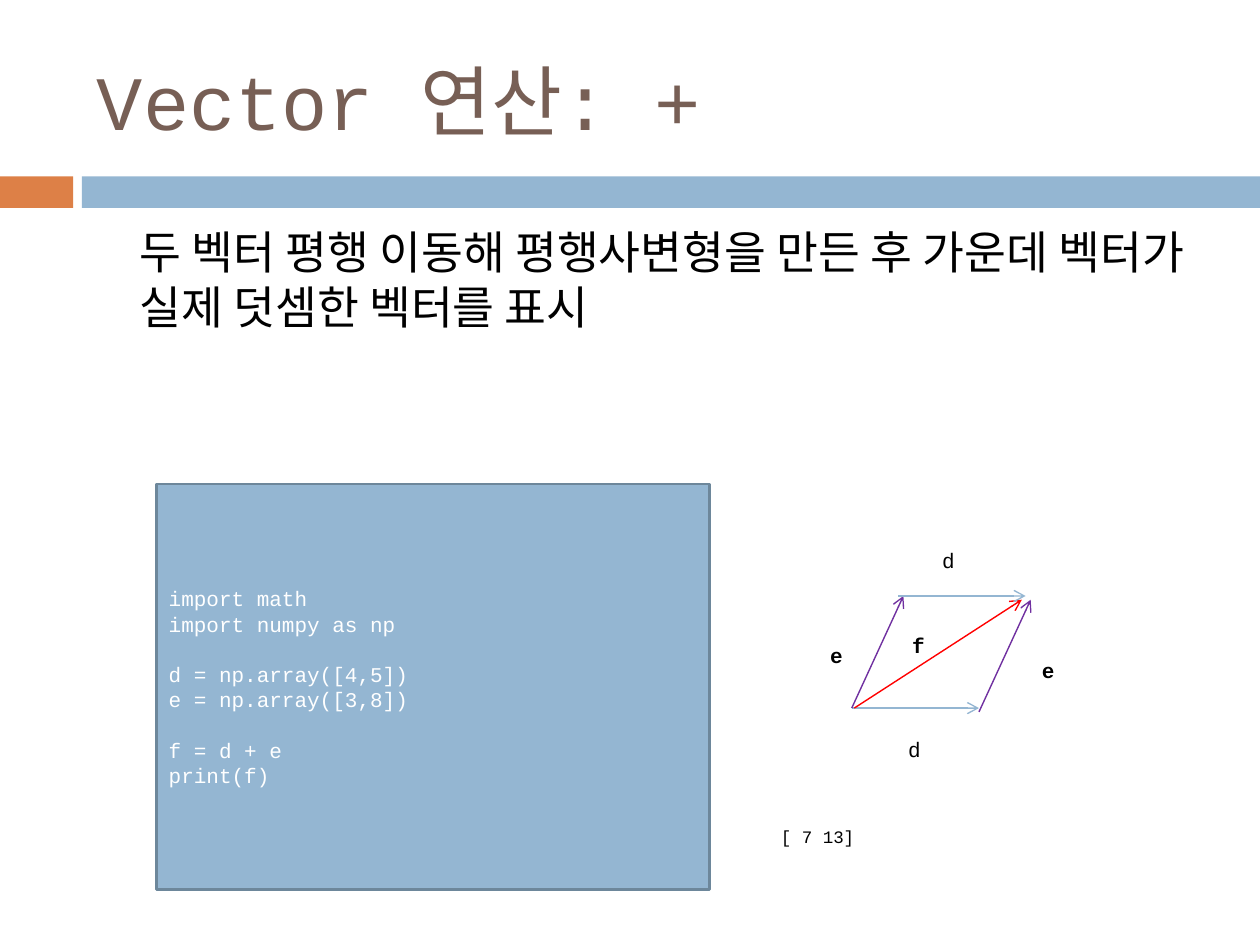
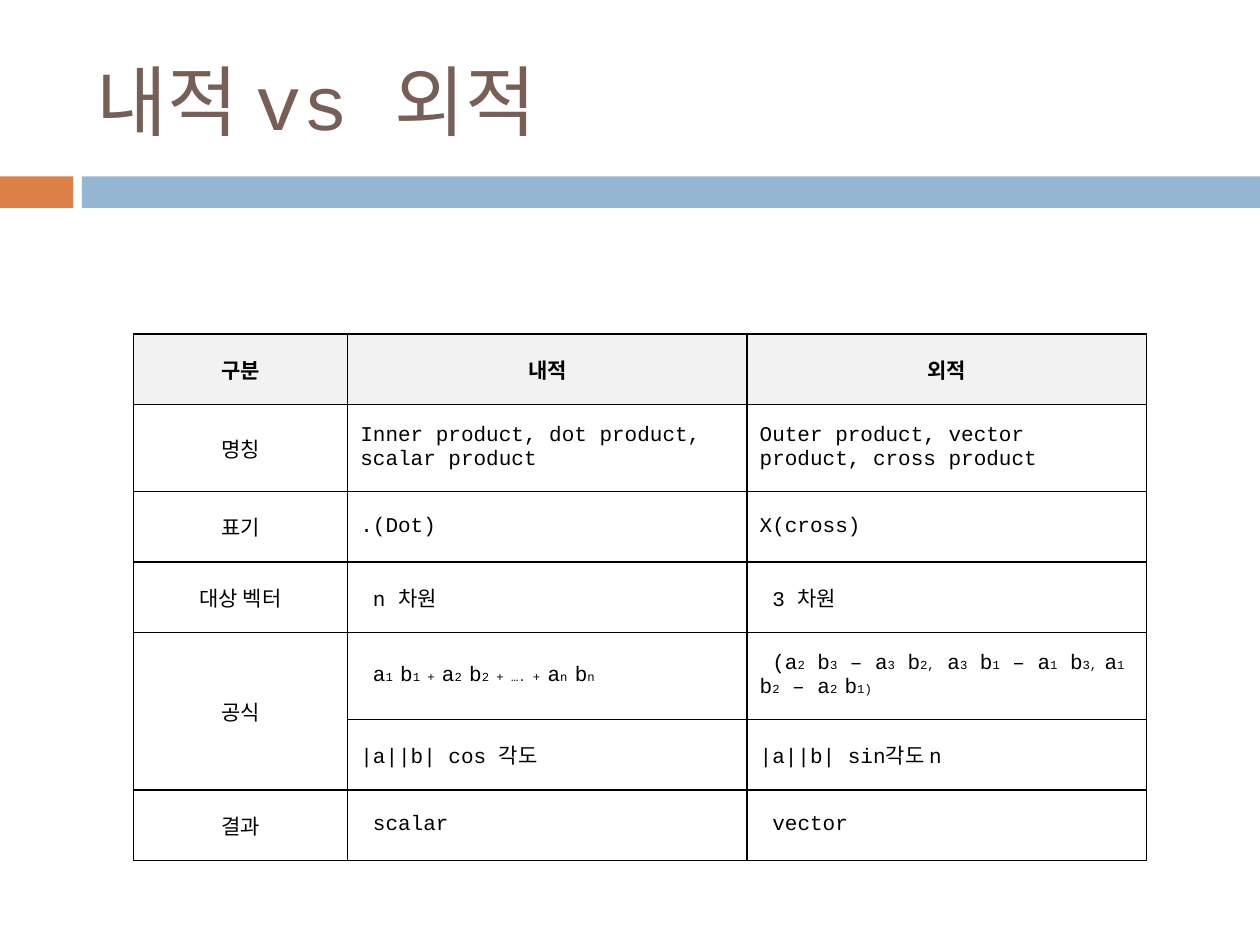
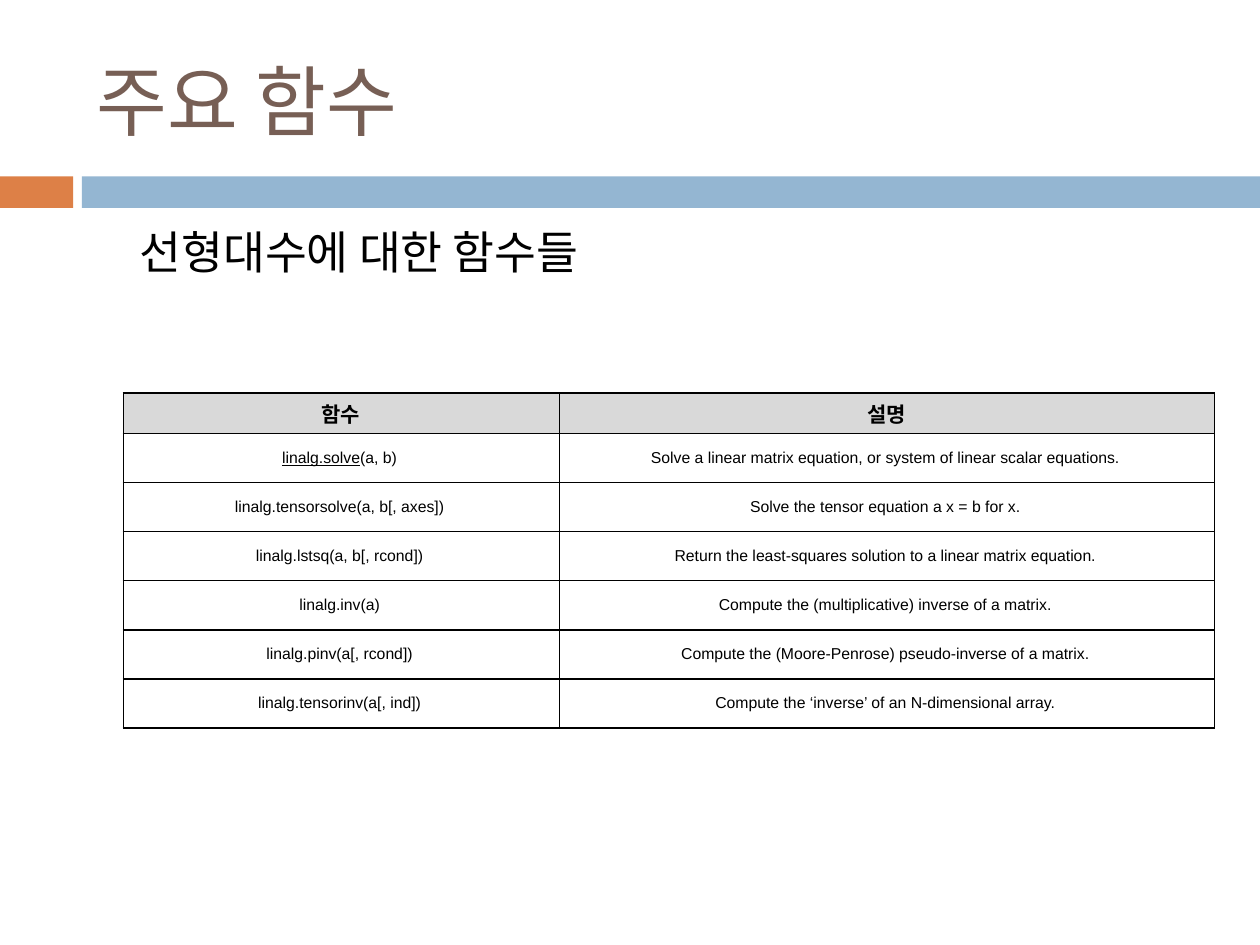
from typing import NamedTuple

from lxml import etree
from pptx import Presentation
from pptx import util as u
from pptx.dml.color import RGBColor
from pptx.enum import shapes, text
from pptx.oxml import ns

ORANGE, BLUE, BLUE_EDGE = "DD8047", "94B6D2", "6D879B"
BROWN, BLACK, WHITE = "775F55", "000000", "FFFFFF"
PURPLE, RED = "7030A0", "FF0000"
LIGHT_GREY, GREY = "F2F2F2", "D9D9D9"
MONO, SANS = "Courier New", "Arial"
CODE_LINE = u.Pt(14.4)


class Box(NamedTuple):
    left: float
    top: float
    width: float
    height: float

    def inches(self) -> list:
        return [u.Inches(length) for length in self]


class Style(NamedTuple):
    size: float
    font: str = MONO
    color: str = BLACK
    bold: bool = False
    underline: bool = False


class Arrow(NamedTuple):
    start: tuple[float, float]
    end: tuple[float, float]
    color: str


class Label(NamedTuple):
    name: str
    left: float
    top: float
    bold: bool


class Margins(NamedTuple):
    left: float = 0.1
    top: float = 0.05
    right: float = 0.1
    bottom: float = 0.05


class Cell(NamedTuple):
    """Table cell; parts of content in braces take the marked style."""
    content: str
    style: Style
    marked: Style
    centered: bool = True
    indent: float = 0
    fill: str | None = None
    margins: Margins = Margins()


TITLE, BODY = Style(44, color=BROWN), Style(26)
CODE, RESULT = Style(12, color=WHITE), Style(10)
PLAIN, SUBSCRIPT, HEADING = Style(12), Style(7), Style(12, bold=True)
FUNCTION = Style(9, SANS)
LINKED = FUNCTION._replace(underline=True)
FUNCTION_HEADING = Style(12, SANS, bold=True)

TITLE_BOX = Box(0.67, 0.25, 8.92, 1.08)
BODY_BOX = Box(1.01, 1.73, 8.5, 1.47)
BANDS = [(Box(0, 1.4, 0.58, 0.25), ORANGE), (Box(0.65, 1.4, 9.35, 0.25), BLUE)]

CODE_BLOCKS = [
    ["import math", "import numpy as np"],
    ["d = np.array([4,5])", "e = np.array([3,8])"],
    ["f = d + e", "print(f)"],
]
ARROWS = [
    Arrow((6.76, 5.62), (7.77, 5.62), BLUE),
    Arrow((6.76, 5.62), (7.17, 4.73), PURPLE),
    Arrow((6.78, 5.62), (8.11, 4.76), RED),
    Arrow((7.77, 5.65), (8.18, 4.76), PURPLE),
    Arrow((7.13, 4.73), (8.14, 4.73), BLUE),
]
LABELS = [
    Label("e", 6.49, 5.05, True),
    Label("d", 7.11, 5.8, False),
    Label("f", 7.14, 4.97, True),
    Label("e", 8.17, 5.17, True),
    Label("d", 7.38, 4.3, False),
]

PRODUCT_HEADINGS = ["구분", "내적", "외적"]
PRODUCT_ROWS = [
    ["명칭", "Inner product, dot product, scalar product",
     "Outer product, vector product, cross product"],
    ["표기", ".(Dot)", "X(cross)"],
    ["대상 벡터", "n 차원", "3 차원"],
    ["공식", "a{1 }b{1 + }a{2 }b{2 + …. + }a{n }b{n}",
     "(a{2} b{3} – a{3} b{2,} a{3} b{1} – a{1} b{3, }a{1} b{2} – a{2 }b{1)}"],
    ["", "|a||b| cos 각도", "|a||b| sin각도 n"],
    ["결과", "scalar", "vector"],
]
INDENTED_ROWS = {"대상 벡터", "공식", "결과"}

FUNCTION_HEADINGS = ["함수", "설명"]
FUNCTION_ROWS = [
    ["{linalg.solve}(a, b)",
     "Solve a linear matrix equation, or system of linear scalar equations."],
    ["linalg.tensorsolve(a, b[, axes])", "Solve the tensor equation a x = b for x."],
    ["linalg.lstsq(a, b[, rcond])",
     "Return the least-squares solution to a linear matrix equation."],
    ["linalg.inv(a)", "Compute the (multiplicative) inverse of a matrix."],
    ["linalg.pinv(a[, rcond])",
     "Compute the (Moore-Penrose) pseudo-inverse of a matrix."],
    ["linalg.tensorinv(a[, ind])",
     "Compute the ‘inverse’ of an N-dimensional array."],
]


def rgb(color: str) -> RGBColor:
    return RGBColor.from_string(color)


def format_font(font, style: Style) -> None:
    font.size = u.Pt(style.size)
    font.name = style.font
    font.color.rgb = rgb(style.color)
    font.bold = style.bold
    font.underline = style.underline


def add_rectangle(slide, box: Box, color: str):
    shape = slide.shapes.add_shape(shapes.MSO_SHAPE.RECTANGLE, *box.inches())
    shape.shadow.inherit = False
    shape.fill.solid()
    shape.fill.fore_color.rgb = rgb(color)
    shape.line.fill.background()
    return shape


def add_text(slide, box: Box, content: str, style: Style,
             anchor=text.MSO_ANCHOR.TOP) -> None:
    frame = slide.shapes.add_textbox(*box.inches()).text_frame
    frame.word_wrap = True
    frame.vertical_anchor = anchor
    frame.text = content
    format_font(frame.paragraphs[0].runs[0].font, style)


def add_slide(presentation, title: str, body: str = ""):
    slide = presentation.slides.add_slide(presentation.slide_layouts[6])
    for box, color in BANDS:
        add_rectangle(slide, box, color)
    add_text(slide, TITLE_BOX, title, TITLE, text.MSO_ANCHOR.MIDDLE)
    if body:
        add_text(slide, BODY_BOX, body, BODY)
    return slide


def add_code(slide, box: Box, blocks: list[list[str]]) -> None:
    shape = add_rectangle(slide, box, BLUE)
    shape.line.color.rgb = rgb(BLUE_EDGE)
    shape.line.width = u.Pt(1.5)
    frame = shape.text_frame
    frame.vertical_anchor = text.MSO_ANCHOR.MIDDLE
    frame.text = "\n".join(line for block in blocks for line in block)
    for paragraph in frame.paragraphs:
        paragraph.alignment = text.PP_ALIGN.LEFT
        paragraph.line_spacing = CODE_LINE
        format_font(paragraph.runs[0].font, CODE)
    first_line = 0
    for block in blocks[:-1]:
        first_line += len(block)
        frame.paragraphs[first_line].space_before = CODE_LINE


def add_arrow(slide, arrow: Arrow) -> None:
    points = [u.Inches(length) for length in (*arrow.start, *arrow.end)]
    connector = slide.shapes.add_connector(shapes.MSO_CONNECTOR.STRAIGHT, *points)
    connector.line.color.rgb = rgb(arrow.color)
    connector.line.width = u.Pt(0.79)
    line = connector.line._get_or_add_ln()
    etree.SubElement(line, ns.qn("a:tailEnd"), type="arrow")
    etree.SubElement(connector._element.spPr, ns.qn("a:effectLst"))


def add_borders(cell) -> None:
    properties = cell._tc.get_or_add_tcPr()
    for side in ("lnL", "lnR", "lnT", "lnB"):
        line = etree.SubElement(properties, ns.qn(f"a:{side}"), w=str(u.Pt(1)))
        fill = etree.SubElement(line, ns.qn("a:solidFill"))
        etree.SubElement(fill, ns.qn("a:srgbClr"), val=BLACK)


def fill_cell(cell, source: Cell) -> None:
    add_borders(cell)
    if source.fill:
        cell.fill.solid()
        cell.fill.fore_color.rgb = rgb(source.fill)
    else:
        cell.fill.background()
    cell.vertical_anchor = text.MSO_ANCHOR.MIDDLE
    (cell.margin_left, cell.margin_top, cell.margin_right,
     cell.margin_bottom) = [u.Inches(length) for length in source.margins]
    paragraph = cell.text_frame.paragraphs[0]
    if source.centered:
        paragraph.alignment = text.PP_ALIGN.CENTER
    if source.indent:
        paragraph._p.get_or_add_pPr().set("indent", str(u.Inches(source.indent)))
    pieces = source.content.replace("}", "{").split("{")
    for index, piece in enumerate(pieces):
        if piece:
            run = paragraph.add_run()
            run.text = piece
            format_font(run.font, source.marked if index % 2 else source.style)


def add_table(slide, left: float, top: float, widths: list[float],
              heights: list[float], rows: list[list[Cell]]):
    box = Box(left, top, sum(widths), sum(heights))
    table = slide.shapes.add_table(len(rows), len(widths), *box.inches()).table
    table.first_row = table.horz_banding = False
    for column, width in zip(table.columns, widths):
        column.width = u.Inches(width)
    for row, height, sources in zip(table.rows, heights, rows):
        row.height = u.Inches(height)
        for cell, source in zip(row.cells, sources):
            fill_cell(cell, source)
    return table


def build_addition(presentation) -> None:
    slide = add_slide(
        presentation, "Vector 연산: +",
        "두 벡터 평행 이동해 평행사변형을 만든 후 가운데 벡터가 실제 덧셈한 벡터를 표시")
    add_code(slide, Box(1.24, 3.84, 4.39, 3.22), CODE_BLOCKS)
    add_text(slide, Box(6.1, 6.51, 3.07, 0.27), "[ 7 13]", RESULT)
    for arrow in ARROWS:
        add_arrow(slide, arrow)
    for label in LABELS:
        add_text(slide, Box(label.left, label.top, 0.46, 0.3), label.name,
                 HEADING if label.bold else PLAIN)


def build_products(presentation) -> None:
    slide = add_slide(presentation, "내적 vs 외적")
    rows = [[Cell(heading, HEADING, HEADING, fill=LIGHT_GREY)
             for heading in PRODUCT_HEADINGS]]
    for name, *products in PRODUCT_ROWS:
        indent = 0.1 if name in INDENTED_ROWS else 0
        rows.append([Cell(name, PLAIN, SUBSCRIPT)]
                    + [Cell(product, PLAIN, SUBSCRIPT, False, indent)
                       for product in products])
    heights = [0.69 if index in (1, 4) else 0.56 for index in range(len(rows))]
    table = add_table(slide, 1.06, 2.65, [1.7, 3.17, 3.17], heights, rows)
    table.cell(4, 0).merge(table.cell(5, 0))


def build_functions(presentation) -> None:
    slide = add_slide(presentation, "주요 함수", "선형대수에 대한 함수들")
    heading_margins = Margins(0.02, 0, 0.03, 0)
    margins = Margins(0.04, 0.01, 0.07, 0.01)
    rows = [[Cell(heading, FUNCTION_HEADING, FUNCTION_HEADING, fill=GREY,
                  margins=heading_margins) for heading in FUNCTION_HEADINGS]]
    rows += [[Cell(content, FUNCTION, LINKED, fill=WHITE, margins=margins)
              for content in row] for row in FUNCTION_ROWS]
    heights = [0.32] + [0.39] * len(FUNCTION_ROWS)
    add_table(slide, 0.98, 3.12, [3.46, 5.2], heights, rows)


def main() -> None:
    presentation = Presentation()
    presentation.slide_width = u.Inches(10)
    presentation.slide_height = u.Inches(7.5)
    build_addition(presentation)
    build_products(presentation)
    build_functions(presentation)
    presentation.save("out.pptx")


if __name__ == "__main__":
    main()
